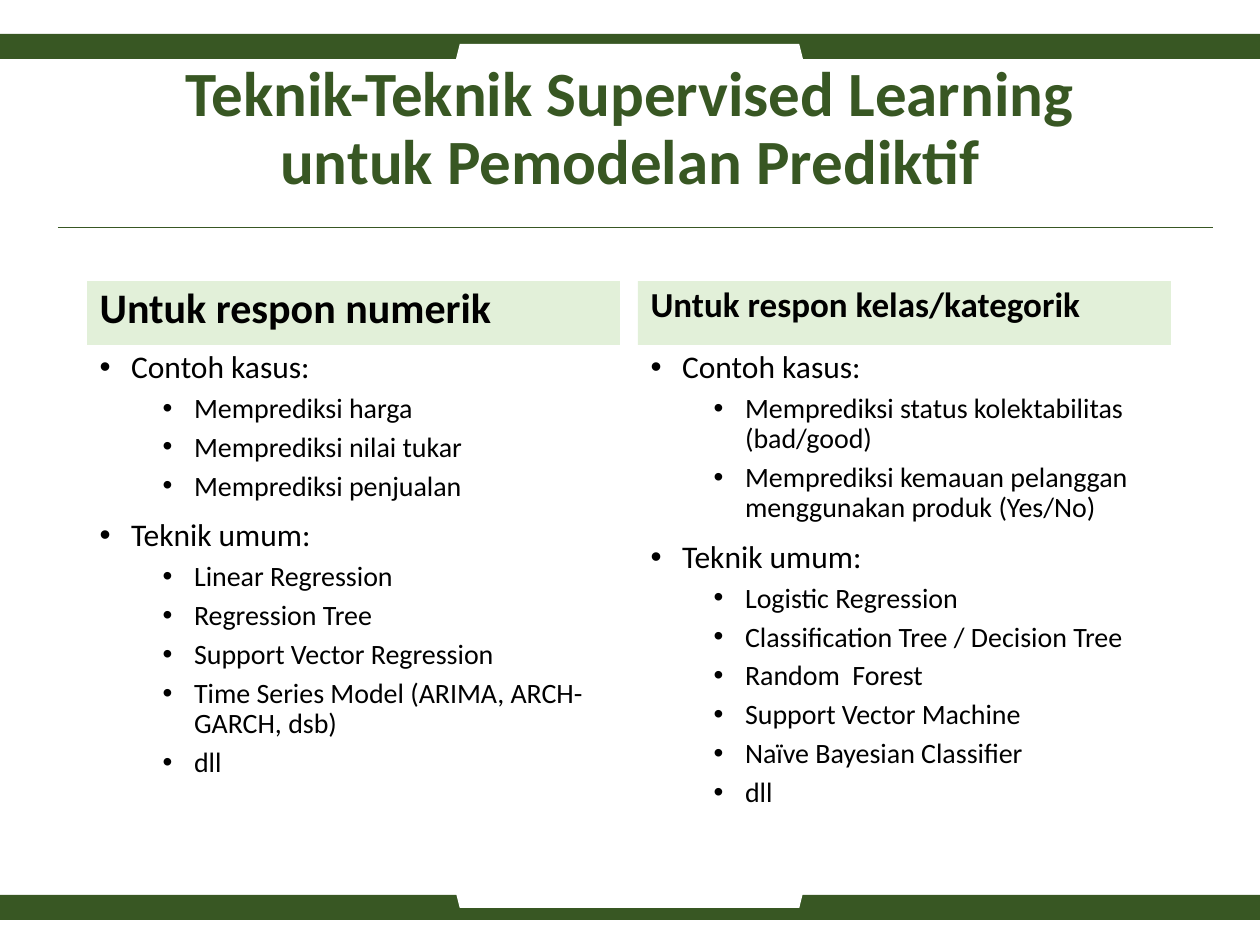
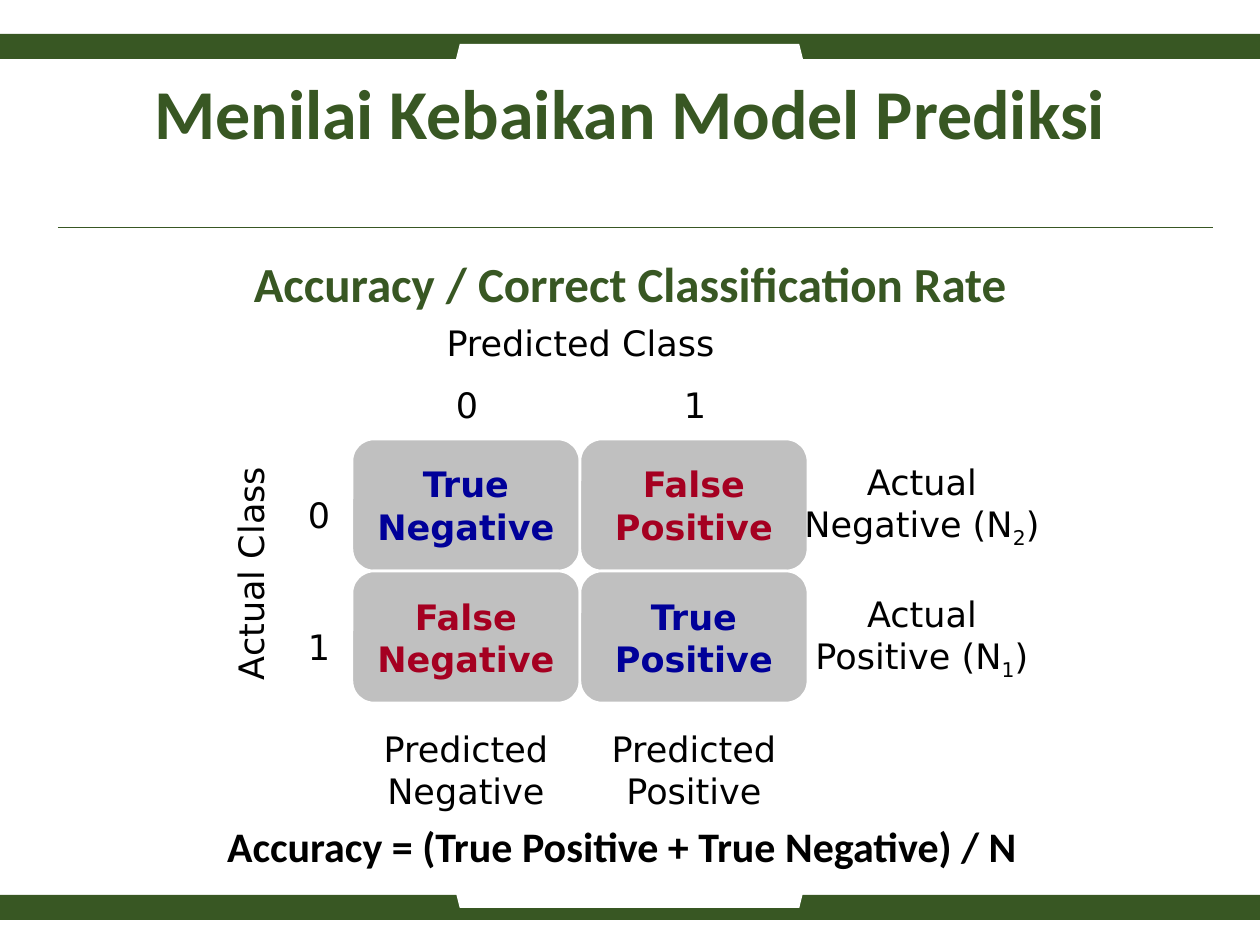
from lxml import etree
from pptx import Presentation
from pptx.dml.color import RGBColor
from pptx.enum.shapes import MSO_CONNECTOR, MSO_SHAPE
from pptx.enum.text import MSO_ANCHOR, MSO_AUTO_SIZE, PP_ALIGN
from pptx.oxml.ns import qn
from pptx.util import Emu, Pt

GREEN = RGBColor(0x38, 0x57, 0x23)
PALE_GREEN = RGBColor(0xE2, 0xF0, 0xD9)
GREY = RGBColor(0xC0, 0xC0, 0xC0)
BLUE = RGBColor(0x00, 0x00, 0x99)
RED = RGBColor(0xA5, 0x00, 0x21)
BLACK = RGBColor(0, 0, 0)
WHITE = RGBColor(255, 255, 255)

RECTANGLE, ROUNDED, TRAPEZOID = MSO_SHAPE.RECTANGLE, MSO_SHAPE.ROUNDED_RECTANGLE, MSO_SHAPE.TRAPEZOID
LEFT, CENTER = PP_ALIGN.LEFT, PP_ALIGN.CENTER
TOP, MIDDLE = MSO_ANCHOR.TOP, MSO_ANCHOR.MIDDLE
HEADING_FONT, DIAGRAM_FONT = "Calibri", "DejaVu Sans"
PX = 914400 / 126


def px(*lengths):
    """Turn pixel lengths into EMU."""
    return [Emu(round(length * PX)) for length in lengths]


def write(shape, box, text, size, color=BLACK, bold=True, font=HEADING_FONT,
          align=CENTER, anchor=MIDDLE, wrap=True, spacing=None):
    """Place the shape, fill it with text and format every run."""
    shape.left, shape.top, shape.width, shape.height = px(*box)
    frame = shape.text_frame
    frame.text = text
    frame.auto_size = MSO_AUTO_SIZE.NONE
    frame.word_wrap = wrap
    frame.vertical_anchor = anchor
    for paragraph in frame.paragraphs:
        paragraph.alignment = align
        paragraph.line_spacing = spacing
        paragraph.space_before = Pt(0)
        for run in paragraph.runs:
            run.font.size, run.font.bold, run.font.name = Pt(size), bold, font
            run.font.color.rgb = color


prs = Presentation()
prs.slide_width, prs.slide_height = px(1260, 945)
techniques = prs.slides.add_slide(prs.slide_layouts[4])
accuracy = prs.slides.add_slide(prs.slide_layouts[5])

# Bands and title rule, drawn once and moved to the master
frame_parts = []
for kind, box, color, turn in [
    (RECTANGLE, (0, 34, 1260, 25), GREEN, 0),
    (TRAPEZOID, (456, 44, 347, 15), WHITE, 0),
    (RECTANGLE, (0, 895, 1260, 25), GREEN, 0),
    (TRAPEZOID, (456, 893, 347, 15), WHITE, 180),
]:
    band = techniques.shapes.add_shape(kind, *px(*box))
    band.shadow.inherit = False
    band.fill.solid()
    band.fill.fore_color.rgb = color
    band.line.fill.background()
    band.rotation = turn
    frame_parts.append(band)
title_rule = techniques.shapes.add_connector(MSO_CONNECTOR.STRAIGHT, *px(58, 227, 1213, 227))
title_rule.line.color.rgb = GREEN
title_rule.line.width = Pt(0.5)
etree.SubElement(title_rule._element.spPr, qn("a:effectLst"))
frame_parts.append(title_rule)
for order, part in enumerate(frame_parts):
    part._element._nvXxPr.cNvPr.set("id", str(100 + order))
    prs.slide_master.shapes._spTree.insert(2 + order, part._element)

# Slide 1: techniques for each kind of response
write(techniques.shapes.title, (87, 82, 1086, 96),
      "Teknik-Teknik Supervised Learning\vuntuk Pemodelan Prediktif", 36, GREEN, spacing=0.9)

columns = [
    (87, "Untuk respon numerik", 24,
     ["Memprediksi harga", "Memprediksi nilai tukar", "Memprediksi penjualan"],
     ["Linear Regression", "Regression Tree", "Support Vector Regression",
      "Time Series Model (ARIMA, ARCH-GARCH, dsb)", "dll"]),
    (638, "Untuk respon kelas/kategorik", 20,
     ["Memprediksi status kolektabilitas (bad/good)",
      "Memprediksi kemauan pelanggan menggunakan produk (Yes/No)"],
     ["Logistic Regression", "Classification Tree / Decision Tree", "Random  Forest",
      "Support Vector Machine", "Naïve Bayesian Classifier", "dll"]),
]
for number, (left, heading, heading_size, cases, methods) in enumerate(columns):
    heading_box = techniques.placeholders[1 + 2 * number]
    write(heading_box, (left, 281, 533, 64), heading, heading_size,
          align=LEFT, anchor=TOP, spacing=0.9)
    heading_box.fill.solid()
    heading_box.fill.fore_color.rgb = PALE_GREEN

    topics = ["Contoh kasus:", "Teknik umum:"]
    lines = [topics[0], *cases, topics[1], *methods]
    list_box = techniques.placeholders[2 + 2 * number]
    write(list_box, (left, 345, 533, 508), "\n".join(lines), 16, bold=False,
          align=LEFT, anchor=TOP, spacing=0.9)
    for position, paragraph in enumerate(list_box.text_frame.paragraphs):
        is_topic = paragraph.text in topics
        properties = paragraph._p.get_or_add_pPr()
        properties.set("marL", str(px(31.5 if is_topic else 94.5)[0]))
        properties.set("indent", str(-px(31.5)[0]))
        etree.SubElement(properties, qn("a:buFont"), typeface="Arial")
        etree.SubElement(properties, qn("a:buChar"), char="•")
        paragraph.level = 0 if is_topic else 1
        if position:
            paragraph.space_before = Pt(10 if is_topic else 5)
        if is_topic:
            paragraph.runs[0].font.size = Pt(18)

# Slide 2: confusion matrix and accuracy
write(accuracy.shapes.title, (87, 239, 1086, 96),
      "Accuracy / Correct Classification Rate", 28, GREEN, spacing=0.9)

GRID_LEFT, GRID_TOP, CELL_W, CELL_H = 352, 439, 228, 132
matrix = [
    [("True\nNegative", BLUE), ("False\nPositive", RED), ("Actual\nNegative (N2)", None)],
    [("False\nNegative", RED), ("True\nPositive", BLUE), ("Actual\nPositive (N1)", None)],
    [("Predicted\nNegative", None), ("Predicted\nPositive", None)],
]
for row, cells in enumerate(matrix):
    for column, (text, color) in enumerate(cells):
        box = (GRID_LEFT + column * CELL_W, GRID_TOP + row * CELL_H, CELL_W, CELL_H)
        if color:
            cell = accuracy.shapes.add_shape(ROUNDED, *px(*box))
            cell.shadow.inherit = False
            cell.fill.solid()
            cell.fill.fore_color.rgb = GREY
            cell.line.color.rgb = WHITE
            cell.line.width = Pt(1.5)
            write(cell, box, text, 20, color, font=DIAGRAM_FONT, wrap=False)
            continue
        total = accuracy.shapes.add_textbox(*px(*box))
        write(total, box, text, 20, bold=False, font=DIAGRAM_FONT, wrap=False)
        if column == 2:
            count = total.text_frame.paragraphs[1]
            stem = count.runs[0]
            digit = stem.text[-2]
            stem.text = stem.text[:-2]
            for piece in (digit, ")"):
                run = count.add_run()
                run.text = piece
                run.font.size, run.font.name, run.font.bold = Pt(20), DIAGRAM_FONT, False
                run.font.color.rgb = BLACK
                if piece == digit:
                    run._r.get_or_add_rPr().set("baseline", "-25000")

axis_labels = [("Predicted Class", (433, 315, 295, 55), 0),
               ("Actual Class", (131, 546, 239, 55), 270)]
for index in range(2):
    axis_labels.append((str(index), (443 + index * CELL_W, 377, 48, 55), 0))
    axis_labels.append((str(index), (295, 487 + index * CELL_H, 48, 55), 0))
for text, box, turn in axis_labels:
    label = accuracy.shapes.add_textbox(*px(*box))
    label.rotation = turn
    write(label, box, text, 20, bold=False, font=DIAGRAM_FONT, anchor=TOP, wrap=False)

for text, box, size, color in [
    ("Accuracy = (True Positive + True Negative) / N", (156, 814, 932, 63), 24, BLACK),
    ("Menilai Kebaikan Model Prediksi", (87, 69, 1086, 96), 40, GREEN),
]:
    write(accuracy.shapes.add_textbox(*px(*box)), box, text, size, color,
          spacing=0.9 if color == GREEN else None)

prs.save("out.pptx")
